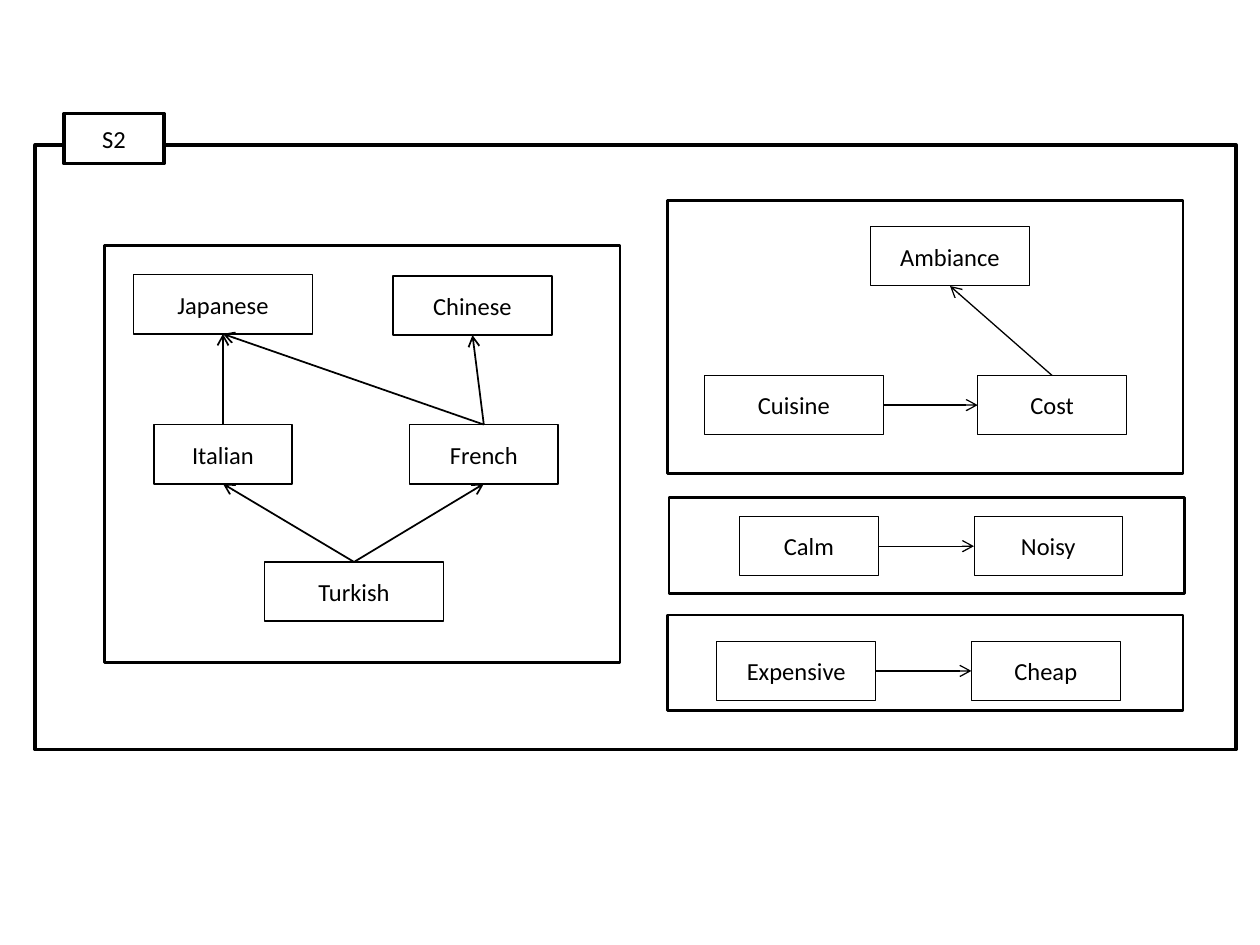
from dataclasses import dataclass
from typing import Optional

from lxml.etree import SubElement
from pptx import Presentation
from pptx.dml.color import RGBColor as Rgb
from pptx.enum.shapes import MSO_CONNECTOR as Conn, MSO_SHAPE as Kind
from pptx.enum.text import MSO_ANCHOR as Anchor, PP_ALIGN as Align
from pptx.oxml.ns import qn
from pptx.util import Inches, Pt


@dataclass(frozen=True)
class Theme:
    ink: Rgb = Rgb(0, 0, 0)
    paper: Rgb = Rgb(255, 255, 255)
    font: str = "Calibri"
    size: float = 14
    frame: float = 1.5
    outer: float = 2


@dataclass(frozen=True)
class Box:
    left: float
    top: float
    width: float
    height: float = 0.47
    text: str = ""


@dataclass(frozen=True)
class Link:
    start: str
    side: int
    end: str
    goal: int


@dataclass(frozen=True)
class Panel:
    frame: Box
    nodes: list[Box]
    links: list[Link]
    edge: float = 0.5
    arrow: float = 0.75


THEME = Theme()
TOP, LEFT, BOTTOM, RIGHT = range(4)

PANELS = [
    # Cuisine preferences
    Panel(
        Box(0.83, 1.95, 4.09, 3.31),
        [Box(1.06, 2.18, 1.42, text="Japanese"),
         Box(3.12, 2.19, 1.26, text="Chinese"),
         Box(1.22, 3.37, 1.1, text="Italian"),
         Box(3.25, 3.37, 1.18, text="French"),
         Box(2.1, 4.46, 1.42, text="Turkish")],
        [Link("Italian", TOP, "Japanese", BOTTOM),
         Link("French", TOP, "Japanese", BOTTOM),
         Link("French", TOP, "Chinese", BOTTOM),
         Link("Turkish", TOP, "French", BOTTOM),
         Link("Turkish", TOP, "Italian", BOTTOM)],
        edge=1, arrow=1),
    # Order of the attributes
    Panel(
        Box(5.3, 1.59, 4.09, 2.17),
        [Box(5.59, 2.98, 1.42, text="Cuisine"),
         Box(6.91, 1.8, 1.26, text="Ambiance"),
         Box(7.76, 2.98, 1.18, text="Cost")],
        [Link("Cuisine", RIGHT, "Cost", LEFT),
         Link("Cost", TOP, "Ambiance", BOTTOM)]),
    # Ambiance preferences
    Panel(
        Box(5.31, 3.95, 4.09, 0.76),
        [Box(5.87, 4.1, 1.1, text="Calm"),
         Box(7.73, 4.1, 1.18, text="Noisy")],
        [Link("Calm", RIGHT, "Noisy", LEFT)]),
    # Cost preferences
    Panel(
        Box(5.3, 4.88, 4.09, 0.76),
        [Box(5.69, 5.09, 1.26, text="Expensive"),
         Box(7.71, 5.09, 1.18, text="Cheap")],
        [Link("Expensive", RIGHT, "Cheap", LEFT)]),
]


def write(shape, text: str, *, size: float = THEME.size,
          color: Rgb = THEME.ink, align=Align.CENTER) -> None:
    frame = shape.text_frame
    frame.word_wrap = True
    frame.vertical_anchor = Anchor.MIDDLE
    para = frame.paragraphs[0]
    para.alignment = align
    run = para.add_run()
    run.text = text
    run.font.name = THEME.font
    run.font.size = Pt(size)
    run.font.color.rgb = color


def draw_box(slide, box: Box, edge: float, fill: Optional[Rgb] = None):
    shape = slide.shapes.add_shape(
        Kind.RECTANGLE, Inches(box.left), Inches(box.top),
        Inches(box.width), Inches(box.height))
    shape.shadow.inherit = False
    if fill is None:
        shape.fill.background()
    else:
        shape.fill.solid()
        shape.fill.fore_color.rgb = fill
    shape.line.color.rgb = THEME.ink
    shape.line.width = Pt(edge)
    if box.text:
        write(shape, box.text)
    return shape


def draw_link(slide, link: Link, nodes: dict, width: float) -> None:
    line = slide.shapes.add_connector(Conn.STRAIGHT, 0, 0, 0, 0)
    line.begin_connect(nodes[link.start], link.side)
    line.end_connect(nodes[link.end], link.goal)
    line.line.color.rgb = THEME.ink
    line.line.width = Pt(width)
    # Open arrowhead, no shadow
    SubElement(line.line._get_or_add_ln(), qn("a:tailEnd"), type="arrow")
    SubElement(line._element.spPr, qn("a:effectLst"))


def draw_panel(slide, panel: Panel) -> None:
    nodes = {box.text: draw_box(slide, box, panel.edge) for box in panel.nodes}
    for link in panel.links:
        draw_link(slide, link, nodes, panel.arrow)
    draw_box(slide, panel.frame, THEME.frame)


def main() -> None:
    deck = Presentation()
    deck.slide_width, deck.slide_height = Inches(10), Inches(7.5)
    slide = deck.slides.add_slide(deck.slide_layouts[6])
    for panel in PANELS:
        draw_panel(slide, panel)
    # Outer frame and its label
    draw_box(slide, Box(0.28, 1.15, 9.53, 4.8), THEME.outer)
    draw_box(slide, Box(0.51, 0.9, 0.79, 0.4, "S2"), THEME.outer, THEME.paper)
    deck.save("out.pptx")


if __name__ == "__main__":
    main()
